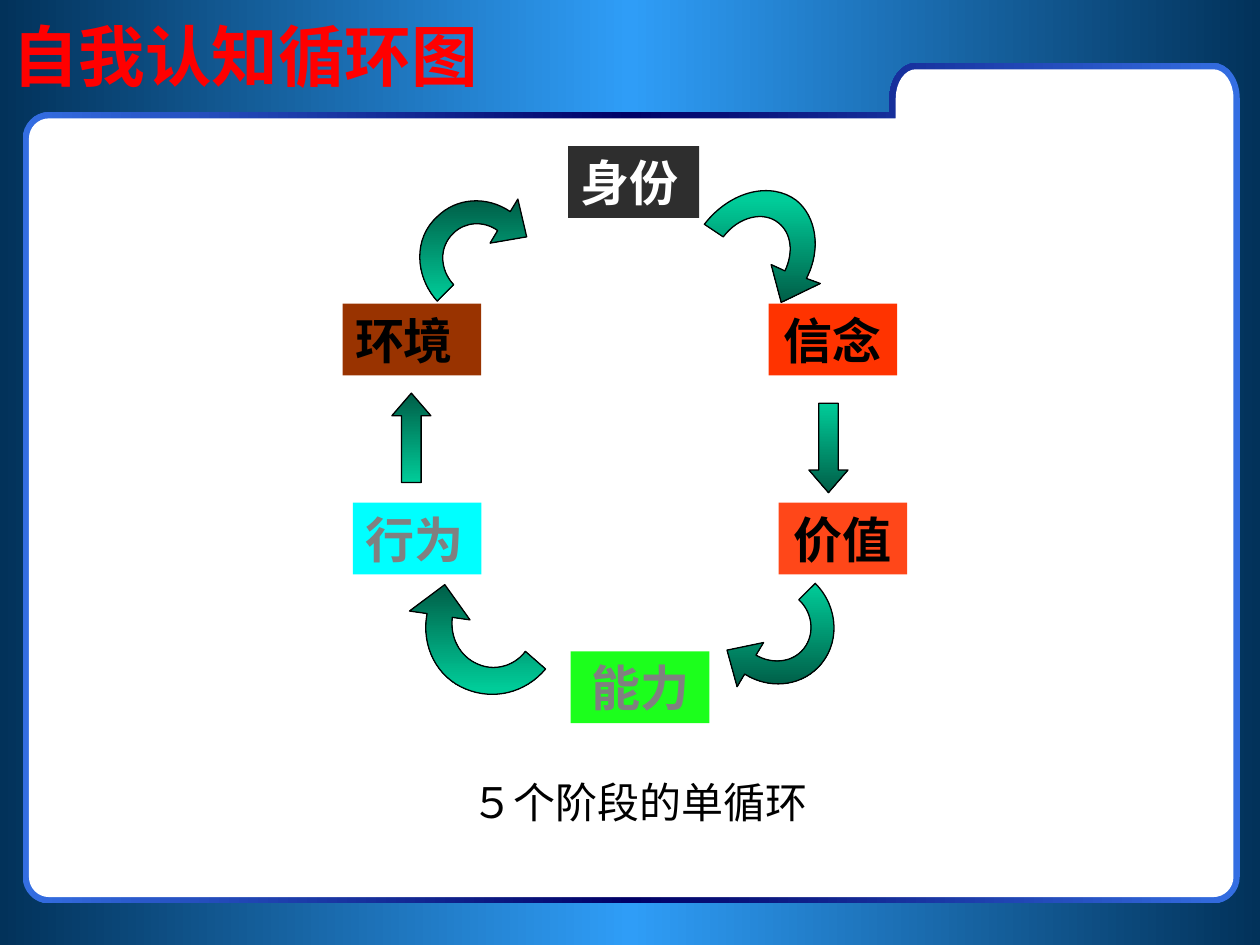
from dataclasses import dataclass

import pptx
import pptx.dml.color
import pptx.enum.shapes
import pptx.enum.text
import pptx.oxml
import pptx.oxml.ns
import pptx.util

Inches = pptx.util.Inches
Pt = pptx.util.Pt
RGB = pptx.dml.color.RGBColor.from_string
qn = pptx.oxml.ns.qn
Shape = pptx.enum.shapes.MSO_SHAPE
Align = pptx.enum.text.PP_ALIGN
Anchor = pptx.enum.text.MSO_ANCHOR
Point = tuple[float, float]


@dataclass(frozen=True)
class Theme:
    font: str = "Times New Roman"
    asian_font: str = "Noto Sans CJK SC"
    title_size: int = 38
    stage_size: int = 28
    caption_size: int = 24
    black: str = "000000"
    white: str = "FFFFFF"
    grey: str = "808080"
    title: str = "FF0000"
    backdrop: tuple = ("02325A", "2F9DF7", "02325A")
    border: tuple = ("346EE2", "000066", "346EE2")
    rising: tuple = ("005E47", "00CC99")
    falling: tuple = ("00CC99", "005E47")


THEME = Theme()


@dataclass(frozen=True)
class Stage:
    text: str
    left: float
    top: float
    width: float
    fill: str
    color: str
    opacity: int = 100
    align: Align = Align.LEFT


@dataclass(frozen=True)
class Outline:
    start: Point
    segments: tuple  # two numbers make a line, six make a Bézier curve


@dataclass(frozen=True)
class CurvedArrow:
    outline: Outline
    colors: tuple


STAGES = [
    Stage("身份", 4.51, 1.16, 1.04, THEME.black, THEME.white, 82),
    Stage("信念", 6.10, 2.41, 1.02, "FF3300", THEME.black, align=Align.CENTER),
    Stage("价值", 6.18, 3.99, 1.02, "FF3300", THEME.black, 90, Align.CENTER),
    Stage("能力", 4.53, 5.17, 1.10, "00FF00", THEME.grey, 89, Align.CENTER),
    Stage("行为", 2.80, 3.99, 1.02, "00FFFF", THEME.grey),
    Stage("环境", 2.72, 2.41, 1.10, "993300", THEME.black),
]

CURVED_ARROWS = [
    # Environment to identity
    CurvedArrow(Outline((3.95, 1.83), (
        (3.84, 1.75, 3.69, 1.76, 3.6, 1.85), (3.48, 1.96, 3.49, 2.14, 3.6, 2.26),
        (3.47, 2.39), (3.29, 2.19, 3.28, 1.89, 3.47, 1.72),
        (3.62, 1.57, 3.86, 1.55, 4.05, 1.68),
        (4.11, 1.58), (4.18, 1.88), (3.89, 1.93))), THEME.rising),
    # Identity to belief
    CurvedArrow(Outline((6.23, 2.15), (
        (6.3, 2, 6.28, 1.85, 6.18, 1.77), (6.06, 1.67, 5.86, 1.72, 5.74, 1.88),
        (5.59, 1.78), (5.8, 1.51, 6.12, 1.44, 6.32, 1.59),
        (6.48, 1.72, 6.52, 1.98, 6.4, 2.21),
        (6.51, 2.25), (6.2, 2.4), (6.12, 2.1))), THEME.falling),
    # Value to ability
    CurvedArrow(Outline((6, 5.2), (
        (6.12, 5.27, 6.27, 5.26, 6.36, 5.17), (6.47, 5.06, 6.46, 4.87, 6.34, 4.76),
        (6.47, 4.63), (6.66, 4.82, 6.67, 5.12, 6.49, 5.3),
        (6.34, 5.45, 6.1, 5.47, 5.91, 5.35),
        (5.85, 5.45), (5.77, 5.16), (6.06, 5.1))), THEME.falling),
    # Ability to behaviour
    CurvedArrow(Outline((3.59, 4.9), (
        (3.57, 5.06, 3.65, 5.21, 3.79, 5.27), (3.92, 5.33, 4.08, 5.29, 4.17, 5.17),
        (4.33, 5.31), (4.17, 5.5, 3.92, 5.56, 3.7, 5.47),
        (3.47, 5.38, 3.34, 5.13, 3.39, 4.87),
        (3.25, 4.85), (3.53, 4.64), (3.73, 4.92))), THEME.rising),
]


def fill_solid(shape, color: str, opacity: int = 100) -> None:
    shape.fill.solid()
    shape.fill.fore_color.rgb = RGB(color)
    if opacity < 100:
        srgb = shape.element.spPr.find(".//" + qn("a:srgbClr"))
        srgb.append(srgb.makeelement(qn("a:alpha"), {"val": str(opacity * 1000)}))


def fill_gradient(shape, colors: tuple, angle: int) -> None:
    """Spread the colours evenly; the gradient stays still when the shape turns."""
    shape.fill.gradient()
    shape.fill.gradient_angle = angle
    gradient = shape.element.spPr.find(qn("a:gradFill"))
    gradient.set("rotWithShape", "0")
    stops = gradient.find(qn("a:gsLst"))
    for stop in list(stops):
        stops.remove(stop)
    for index, color in enumerate(colors):
        position = index * 100000 // (len(colors) - 1)
        stops.append(pptx.oxml.parse_xml(
            f'<a:gs {pptx.oxml.ns.nsdecls("a")} pos="{position}">'
            f'<a:srgbClr val="{color}"/></a:gs>'))


def finish_arrow(shape, colors: tuple) -> None:
    fill_gradient(shape, colors, 270)
    shape.line.color.rgb = RGB(THEME.black)
    shape.line.width = Pt(0.75)


def write(shape, text: str, size: int, color: str, font: str = THEME.font,
          bold: bool = False, align: Align = Align.LEFT, anchor: Anchor = Anchor.TOP) -> None:
    frame = shape.text_frame
    frame.word_wrap = True
    frame.vertical_anchor = anchor
    para = frame.paragraphs[0]
    para.text = text
    para.alignment = align
    para.font.name = font
    para.font.size = Pt(size)
    para.font.bold = bold
    para.font.color.rgb = RGB(color)
    latin = para._p.find(".//" + qn("a:latin"))
    latin.addnext(latin.makeelement(qn("a:ea"), {"typeface": THEME.asian_font}))


def add_outline(page, outline: Outline):
    """Join the segment ends with lines, then bend those that are curves."""
    ends = [(Inches(segment[-2]), Inches(segment[-1])) for segment in outline.segments]
    x, y = outline.start
    builder = page.shapes.build_freeform(Inches(x), Inches(y), scale=1.0)
    builder.add_line_segments(ends, close=True)
    shape = builder.convert_to_shape()
    sides = list(shape.element.spPr.iter(qn("a:lnTo")))
    for side, segment in zip(sides, outline.segments):
        if len(segment) == 6:
            curve = side.makeelement(qn("a:cubicBezTo"), {})
            for x, y in zip(segment[::2], segment[1::2]):
                curve.append(side.makeelement(qn("a:pt"), {
                    "x": str(Inches(x) - shape.left), "y": str(Inches(y) - shape.top)}))
            side.getparent().replace(side, curve)
    shape.line.fill.background()
    shape.shadow.inherit = False
    return shape


def folder_outline(inset: float) -> Outline:
    """Rounded folder with a raised tab at the right, moved inwards by inset."""
    left, right, tab = 0.18 + inset, 9.84 - inset, 7.06 + inset
    top, body, bottom = 0.5 + inset, 0.89 + inset, 7.17 - inset
    r, tall = 0.21 - inset, 0.28 - inset
    k, kt = r * 0.45, tall * 0.45
    return Outline((tab + r, top), (
        (tab + k, top, tab, top + kt, tab, top + tall), (tab, body), (left + r, body),
        (left + k, body, left, body + k, left, body + r), (left, bottom - r),
        (left, bottom - k, left + k, bottom, left + r, bottom), (right - r, bottom),
        (right - k, bottom, right, bottom - k, right, bottom - r), (right, top + tall),
        (right, top + kt, right - k, top, right - r, top)))


def add_box(page, kind: Shape, left: float, top: float, width: float, height: float):
    shape = page.shapes.add_shape(kind, Inches(left), Inches(top), Inches(width), Inches(height))
    shape.line.fill.background()
    shape.shadow.inherit = False
    return shape


def add_straight_arrow(page, left: float, top: float, rotation: int, colors: tuple) -> None:
    arrow = add_box(page, Shape.UP_ARROW, left, top, 0.31, 0.71)
    arrow.adjustments[1] = 0.58
    arrow.rotation = rotation
    finish_arrow(arrow, colors)


def main() -> None:
    deck = pptx.Presentation()
    deck.slide_width, deck.slide_height = Inches(10), Inches(7.5)
    page = deck.slides.add_slide(deck.slide_layouts[6])

    # Backdrop and folder
    fill_gradient(add_box(page, Shape.RECTANGLE, 0, 0, 10, 7.5), THEME.backdrop, 0)
    fill_gradient(add_outline(page, folder_outline(0)), THEME.border, 0)
    fill_solid(add_outline(page, folder_outline(0.05)), THEME.white)

    # Title and caption
    title = page.shapes.add_textbox(0, 0, Inches(9), Inches(0.87))
    write(title, "自我认知循环图", THEME.title_size, THEME.title, THEME.asian_font,
          bold=True, anchor=Anchor.MIDDLE)
    caption = page.shapes.add_textbox(Inches(2.16), Inches(6.11), Inches(5.83), Inches(0.5))
    write(caption, "５个阶段的单循环", THEME.caption_size, THEME.black, align=Align.CENTER)

    # Stages of the cycle
    for stage in STAGES:
        box = add_box(page, Shape.RECTANGLE, stage.left, stage.top, stage.width, 0.57)
        fill_solid(box, stage.fill, stage.opacity)
        write(box, stage.text, THEME.stage_size, stage.color, bold=True,
              align=stage.align, anchor=Anchor.MIDDLE)

    # Arrows between the stages
    for arrow in CURVED_ARROWS:
        finish_arrow(add_outline(page, arrow.outline), arrow.colors)
    add_straight_arrow(page, 3.11, 3.12, 0, THEME.rising)
    add_straight_arrow(page, 6.42, 3.2, 180, THEME.falling)

    deck.save("out.pptx")


if __name__ == "__main__":
    main()
